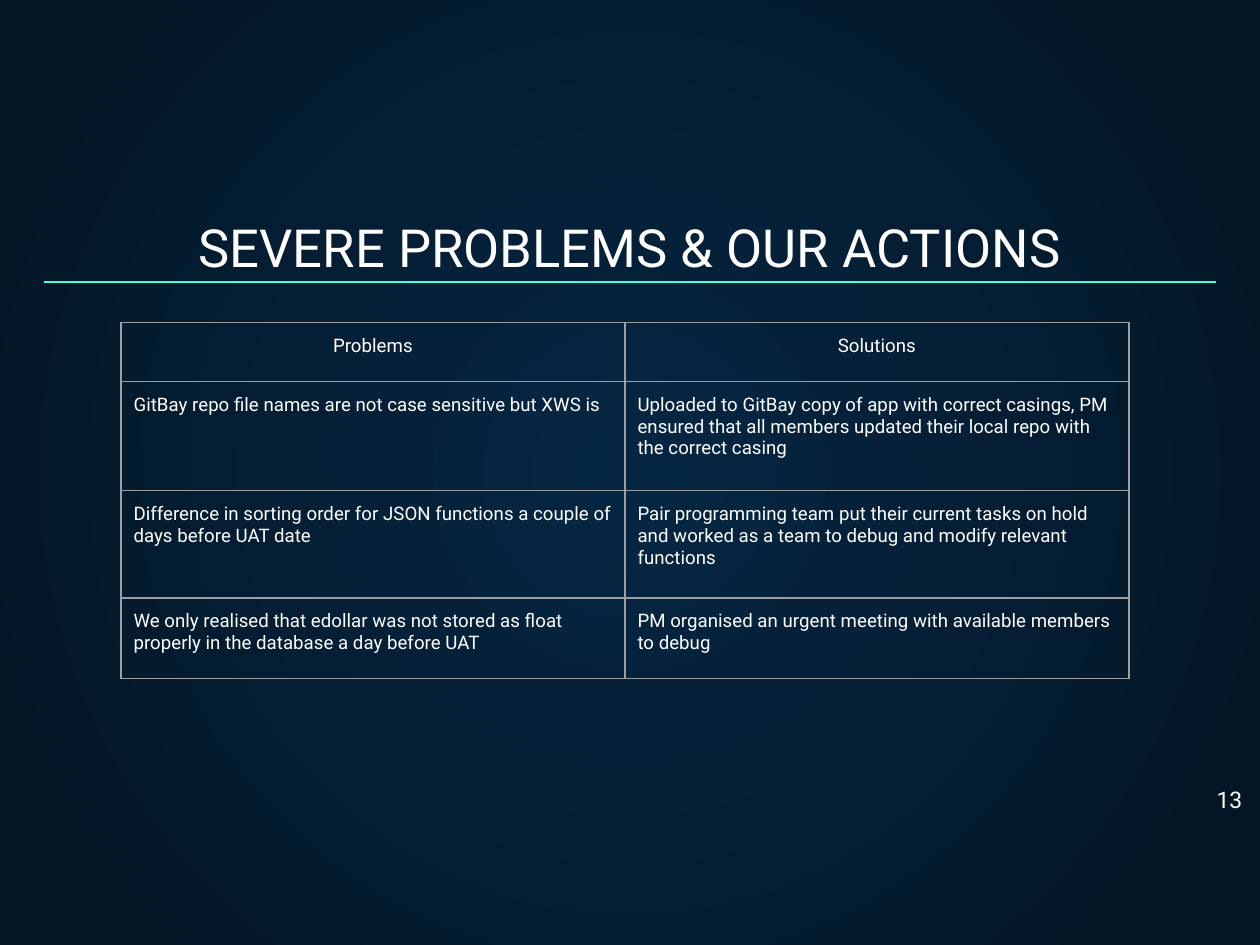
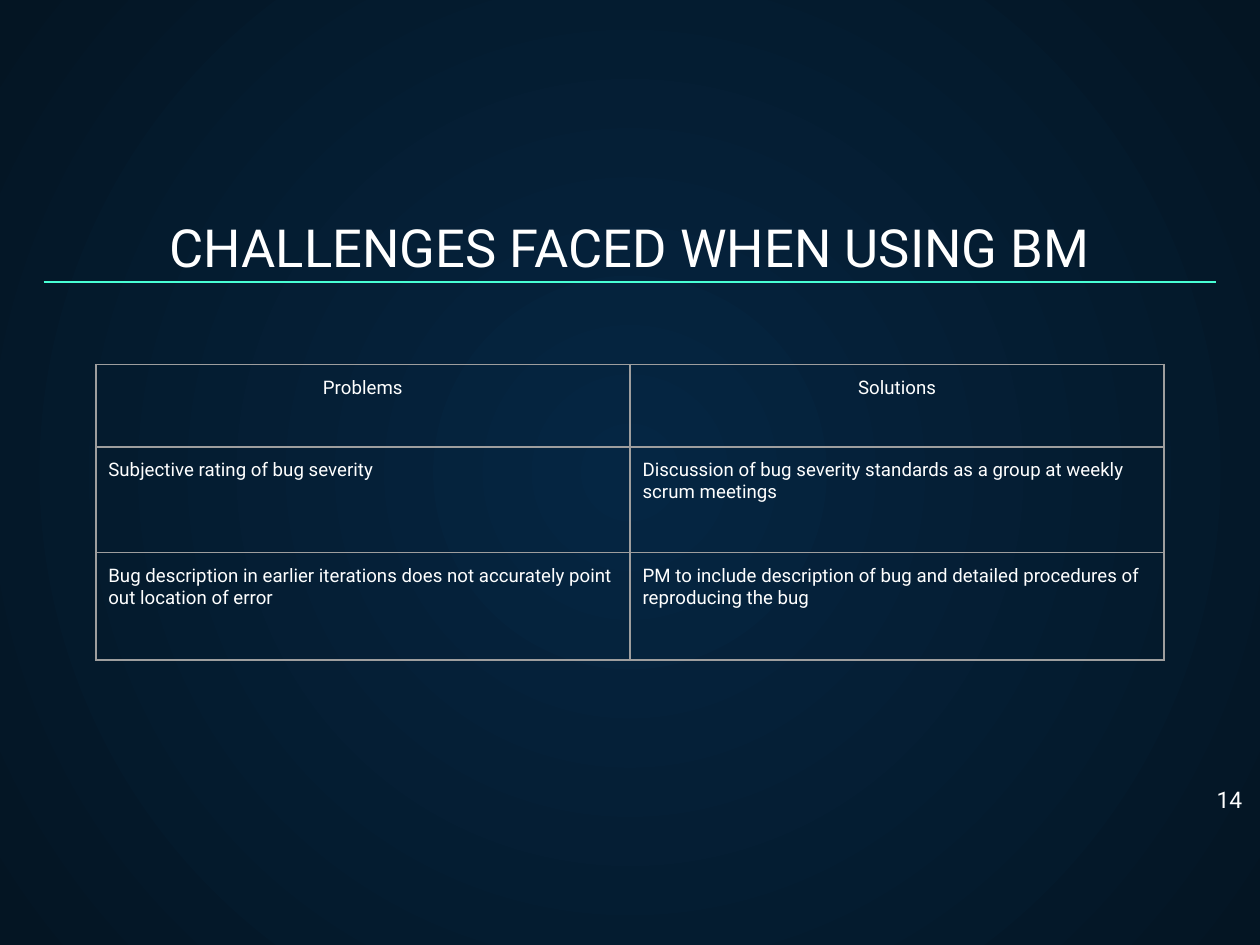
from lxml.etree import SubElement
from pptx import Presentation
from pptx.dml.color import RGBColor
from pptx.enum.shapes import MSO_CONNECTOR
from pptx.enum.text import MSO_ANCHOR, MSO_AUTO_SIZE, PP_ALIGN
from pptx.oxml import parse_xml
from pptx.oxml.ns import nsdecls, qn
from pptx.util import Inches, Pt

# Shared look
WHITE = RGBColor(0xFF, 0xFF, 0xFF)
MINT = RGBColor(0x48, 0xFF, 0xD5)
GREY = RGBColor(0x9E, 0x9E, 0x9E)
NAVY = RGBColor(0x05, 0x26, 0x43)
MIDNIGHT = RGBColor(0x04, 0x15, 0x23)
FONT = "Roboto"
SLIDE_WIDTH = Inches(7.5)
SLIDE_HEIGHT = SLIDE_WIDTH * 3 // 4
INSET = Pt(5.4)
LINE_WIDTH = Pt(0.75)
TITLE_BOX = (0.26, 1.23, 6.98, 0.5)
NUMBER_BOX = (7.02, 4.6, 0.45, 0.32)
RULE = (0.26, 1.68, 7.24, 1.68)

# Content
HEADER = ("Problems", "Solutions")
SLIDES = [
    {
        "number": 13,
        "title": "SEVERE PROBLEMS & OUR ACTIONS",
        "table_at": (0.72, 1.92),
        "column_width": 3,
        "row_heights": (0.35, 0.65, 0.64, 0.48),
        "rows": [
            ("GitBay repo file names are not case sensitive but XWS is",
             "Uploaded to GitBay copy of app with correct casings, PM ensured "
             "that all members updated their local repo with the correct casing"),
            ("Difference in sorting order for JSON functions a couple of days "
             "before UAT date",
             "Pair programming team put their current tasks on hold and worked "
             "as a team to debug and modify relevant functions"),
            ("We only realised that edollar was not stored as float properly in "
             "the database a day before UAT",
             "PM organised an urgent meeting with available members to debug"),
        ],
    },
    {
        "number": 14,
        "title": "CHALLENGES FACED WHEN USING BM",
        "table_at": (0.57, 2.17),
        "column_width": 3.18,
        "row_heights": (0.49, 0.63, 0.64),
        "rows": [
            ("Subjective rating of bug severity",
             "Discussion of bug severity standards as a group at weekly scrum "
             "meetings"),
            ("Bug description in earlier iterations does not accurately point "
             "out location of error",
             "PM to include description of bug and detailed procedures of "
             "reproducing the bug"),
        ],
    },
]


def inches(values):
    return [Inches(value) for value in values]


def apply(target, values):
    for name, value in values.items():
        setattr(target, name, value)


def set_margins(target):
    apply(target, {f"margin_{side}": INSET
                   for side in ("left", "top", "right", "bottom")})


def write(frame, text, size, align):
    para = frame.paragraphs[0]
    para.alignment = align
    span = para.add_run()
    span.text = text
    apply(span.font, {"size": Pt(size), "name": FONT, "bold": False})
    span.font.color.rgb = WHITE


def paint_background(master):
    fill = master.background.fill
    fill.gradient()
    for stop, color, position in zip(fill.gradient_stops, (NAVY, MIDNIGHT), (0, 1)):
        stop.color.rgb = color
        stop.position = position
    # Radial gradient from the centre
    linear = master.element.find(".//" + qn("p:bg")).find(".//" + qn("a:lin"))
    linear.getparent().replace(linear, parse_xml(
        f'<a:path {nsdecls("a")} path="circle">'
        '<a:fillToRect l="50000" t="50000" r="50000" b="50000"/></a:path>'))


def add_title(page, text):
    title = page.shapes.title
    apply(title, dict(zip(("left", "top", "width", "height"), inches(TITLE_BOX))))
    frame = title.text_frame
    apply(frame, {"vertical_anchor": MSO_ANCHOR.BOTTOM, "word_wrap": True,
                  "auto_size": MSO_AUTO_SIZE.NONE})
    set_margins(frame)
    write(frame, text, 22.5, PP_ALIGN.CENTER)


def add_rule(page):
    rule = page.shapes.add_connector(MSO_CONNECTOR.STRAIGHT, *inches(RULE))
    rule.line.color.rgb = MINT
    rule.line.width = LINE_WIDTH
    SubElement(rule.element.spPr, qn("a:effectLst"))


def add_number(page, number):
    frame = page.shapes.add_textbox(*inches(NUMBER_BOX)).text_frame
    frame.word_wrap = True
    set_margins(frame)
    write(frame, str(number), 9.8, PP_ALIGN.RIGHT)


def add_borders(cell):
    properties = cell._tc.get_or_add_tcPr()
    for index, side in enumerate("LRTB"):
        properties.insert(index, parse_xml(
            f'<a:ln{side} {nsdecls("a")} w="{LINE_WIDTH}"><a:solidFill>'
            f'<a:srgbClr val="{GREY}"/></a:solidFill></a:ln{side}>'))


def add_grid(page, content):
    rows = [HEADER] + content["rows"]
    heights = content["row_heights"]
    width = content["column_width"]
    columns = len(HEADER)
    table = page.shapes.add_table(
        len(rows), columns, *inches(content["table_at"]),
        Inches(width * columns), Inches(sum(heights))).table
    apply(table, {"first_row": False, "horz_banding": False})
    for column in table.columns:
        column.width = Inches(width)
    for row_index, (texts, height) in enumerate(zip(rows, heights)):
        table.rows[row_index].height = Inches(height)
        align = PP_ALIGN.LEFT if row_index else PP_ALIGN.CENTER
        for column_index, text in enumerate(texts):
            cell = table.cell(row_index, column_index)
            set_margins(cell)
            cell.fill.background()
            add_borders(cell)
            write(cell.text_frame, text, 8, align)


def main():
    deck = Presentation()
    deck.slide_width, deck.slide_height = SLIDE_WIDTH, SLIDE_HEIGHT
    paint_background(deck.slide_master)
    title_only = deck.slide_layouts.get_by_name("Title Only")
    for content in SLIDES:
        page = deck.slides.add_slide(title_only)
        add_title(page, content["title"])
        add_rule(page)
        add_number(page, content["number"])
        add_grid(page, content)
    deck.save("out.pptx")


if __name__ == "__main__":
    main()
